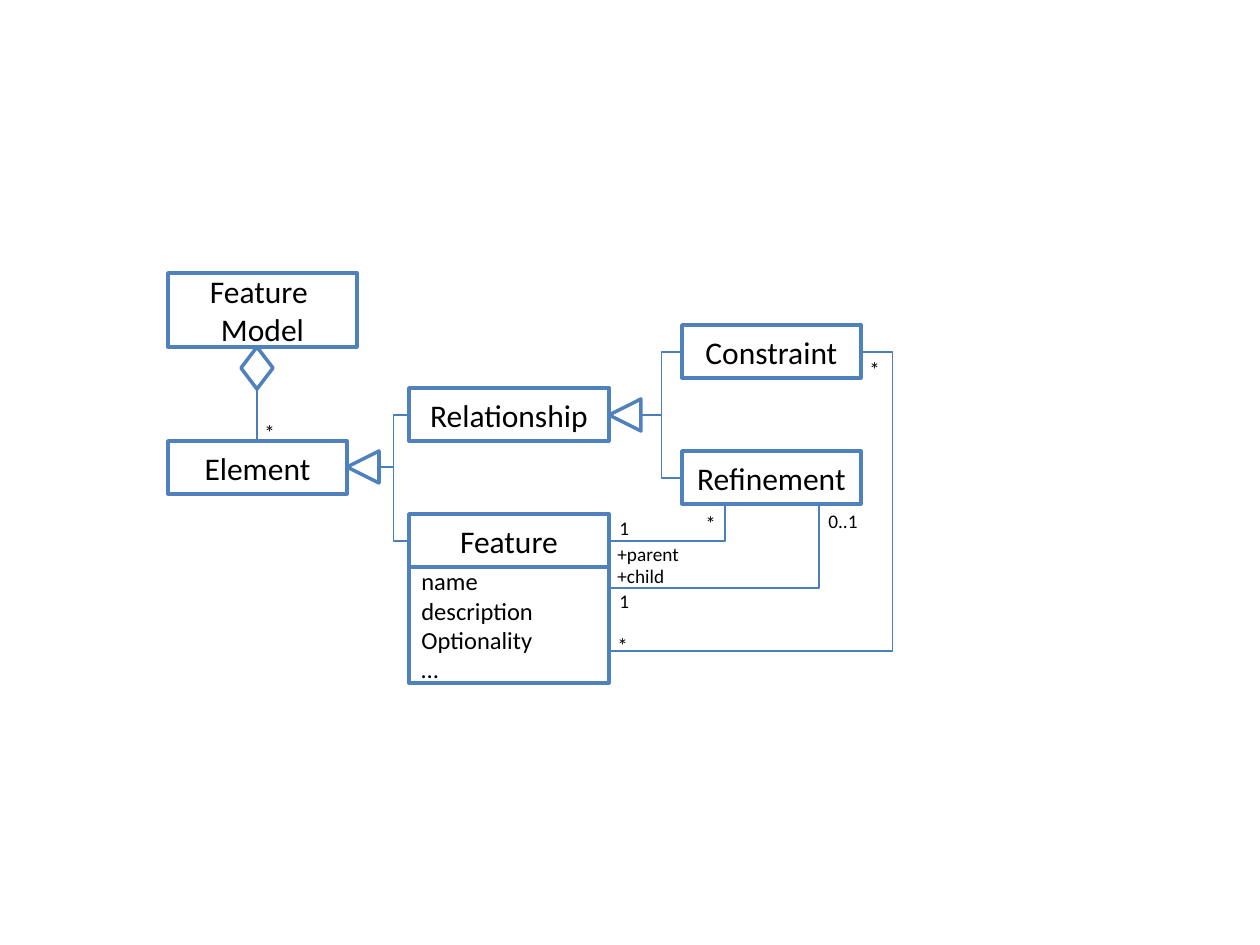
from dataclasses import dataclass

from lxml import etree
from pptx import Presentation
from pptx import util as u
from pptx.dml.color import RGBColor
from pptx.enum import shapes, text
from pptx.oxml import ns

SCALE = 914400 // 126  # EMU per pixel
BLUE = RGBColor(0x4F, 0x81, 0xBD)
LINK_BLUE = RGBColor(0x4B, 0x7E, 0xBC)
WHITE = RGBColor(0xFF, 0xFF, 0xFF)
BLACK = RGBColor(0, 0, 0)
FONT = "Calibri"
ROW_HEIGHT = 53
MARK = 32  # side of a generalization triangle


@dataclass(frozen=True)
class ClassBox:
    lines: tuple[str, ...]
    left: int
    top: int
    width: int
    height: int = ROW_HEIGHT
    size: int = 18
    align: text.PP_ALIGN = text.PP_ALIGN.CENTER


@dataclass(frozen=True)
class Symbol:
    kind: shapes.MSO_SHAPE
    left: int
    top: int
    height: int = MARK
    rotation: int = 0


@dataclass(frozen=True)
class Link:
    start: tuple[int, int]
    end: tuple[int, int]
    bends: tuple[float, ...] = (0.5,)  # empty for a straight line


@dataclass(frozen=True)
class Label:
    words: str
    left: int
    top: int
    width: int = 37
    height: int = 37
    size: int = 12


CLASSES = [
    ClassBox(("Relationship",), 409, 388, 200),
    ClassBox(("Element",), 168, 441, 179),
    ClassBox(("Feature",), 409, 514, 200),
    ClassBox(("Refinement",), 682, 451, 179),
    ClassBox(("Constraint",), 682, 325, 179),
    ClassBox(("name", "description", "Optionality", "…"), 409, 567, 200, 116,
             size=14, align=text.PP_ALIGN.LEFT),
    ClassBox(("Feature ", "Model"), 168, 273, 189, 74),
]
SYMBOLS = [
    Symbol(shapes.MSO_SHAPE.ISOSCELES_TRIANGLE, 347, 451, rotation=270),
    Symbol(shapes.MSO_SHAPE.ISOSCELES_TRIANGLE, 609, 399, rotation=270),
    Symbol(shapes.MSO_SHAPE.DIAMOND, 241, 347, height=42),
]
LINKS = [
    # Feature to Refinement: parent, then child
    Link((609, 541), (725, 504), (1,)),
    Link((609, 588), (819, 504), (1,)),
    # Constraint to Feature
    Link((861, 352), (609, 651), (-0.125, 1)),
    # Generalizations
    Link((378, 467), (409, 415)),
    Link((378, 467), (409, 541)),
    Link((641, 415), (682, 352)),
    Link((641, 415), (682, 478)),
    # Aggregation
    Link((257, 388), (257, 441), ()),
]
LABELS = [
    Label("+parent", 605, 536, 88, 36, 11),
    Label("1", 607, 583, 35, 36, 11),
    Label("*", 857, 350),
    Label("1", 607, 510, 35, 36, 11),
    Label("*", 605, 626),
    Label("+child", 605, 558, 73, 36, 11),
    Label("*", 693, 504),
    Label("0..1", 816, 503, 55, 36, 11),
    Label("*", 252, 413),
]


def px(*lengths: int) -> list[u.Emu]:
    return [u.Emu(length * SCALE) for length in lengths]


def write(frame, lines, *, size, align=text.PP_ALIGN.LEFT,
          anchor=text.MSO_ANCHOR.TOP, wrap=True) -> None:
    frame.word_wrap = wrap
    frame.vertical_anchor = anchor
    for index, line in enumerate(lines):
        para = frame.paragraphs[0] if index == 0 else frame.add_paragraph()
        para.alignment = align
        span = para.add_run()
        span.text = line
        span.font.name = FONT
        span.font.size = u.Pt(size)
        span.font.color.rgb = BLACK


def add_outlined(page, kind, left, top, width, height):
    shape = page.shapes.add_shape(kind, *px(left, top, width, height))
    shape.shadow.inherit = False
    shape.fill.solid()
    shape.fill.fore_color.rgb = WHITE
    shape.line.color.rgb = BLUE
    shape.line.width = u.Pt(2)
    return shape


def add_class(page, item: ClassBox) -> None:
    box = add_outlined(page, shapes.MSO_SHAPE.RECTANGLE,
                       item.left, item.top, item.width, item.height)
    write(box.text_frame, item.lines, size=item.size, align=item.align,
          anchor=text.MSO_ANCHOR.MIDDLE)


def add_symbol(page, item: Symbol) -> None:
    mark = add_outlined(page, item.kind, item.left, item.top, MARK, item.height)
    mark.rotation = item.rotation


def add_link(page, item: Link) -> None:
    kind = shapes.MSO_CONNECTOR.ELBOW if item.bends else shapes.MSO_CONNECTOR.STRAIGHT
    link = page.shapes.add_connector(kind, *px(*item.start, *item.end))
    link.line.color.rgb = LINK_BLUE
    link.line.width = u.Pt(0.75)
    properties = link._element.spPr
    etree.SubElement(properties, ns.qn("a:effectLst"))
    if item.bends:
        geometry = properties.find(ns.qn("a:prstGeom"))
        geometry.set("prst", f"bentConnector{len(item.bends) + 2}")
        guides = geometry.find(ns.qn("a:avLst"))
        for number, bend in enumerate(item.bends, 1):
            etree.SubElement(guides, ns.qn("a:gd"), name=f"adj{number}",
                             fmla=f"val {round(bend * 100000)}")


def add_label(page, item: Label) -> None:
    box = page.shapes.add_textbox(*px(item.left, item.top, item.width, item.height))
    write(box.text_frame, [item.words], size=item.size, wrap=False)
    box.text_frame.auto_size = text.MSO_AUTO_SIZE.SHAPE_TO_FIT_TEXT


def main() -> None:
    deck = Presentation()
    deck.slide_width, deck.slide_height = u.Inches(10), u.Inches(7.5)
    page = deck.slides.add_slide(deck.slide_layouts[6])
    for draw, items in ((add_class, CLASSES), (add_symbol, SYMBOLS),
                        (add_link, LINKS), (add_label, LABELS)):
        for item in items:
            draw(page, item)
    deck.save("out.pptx")


main()
